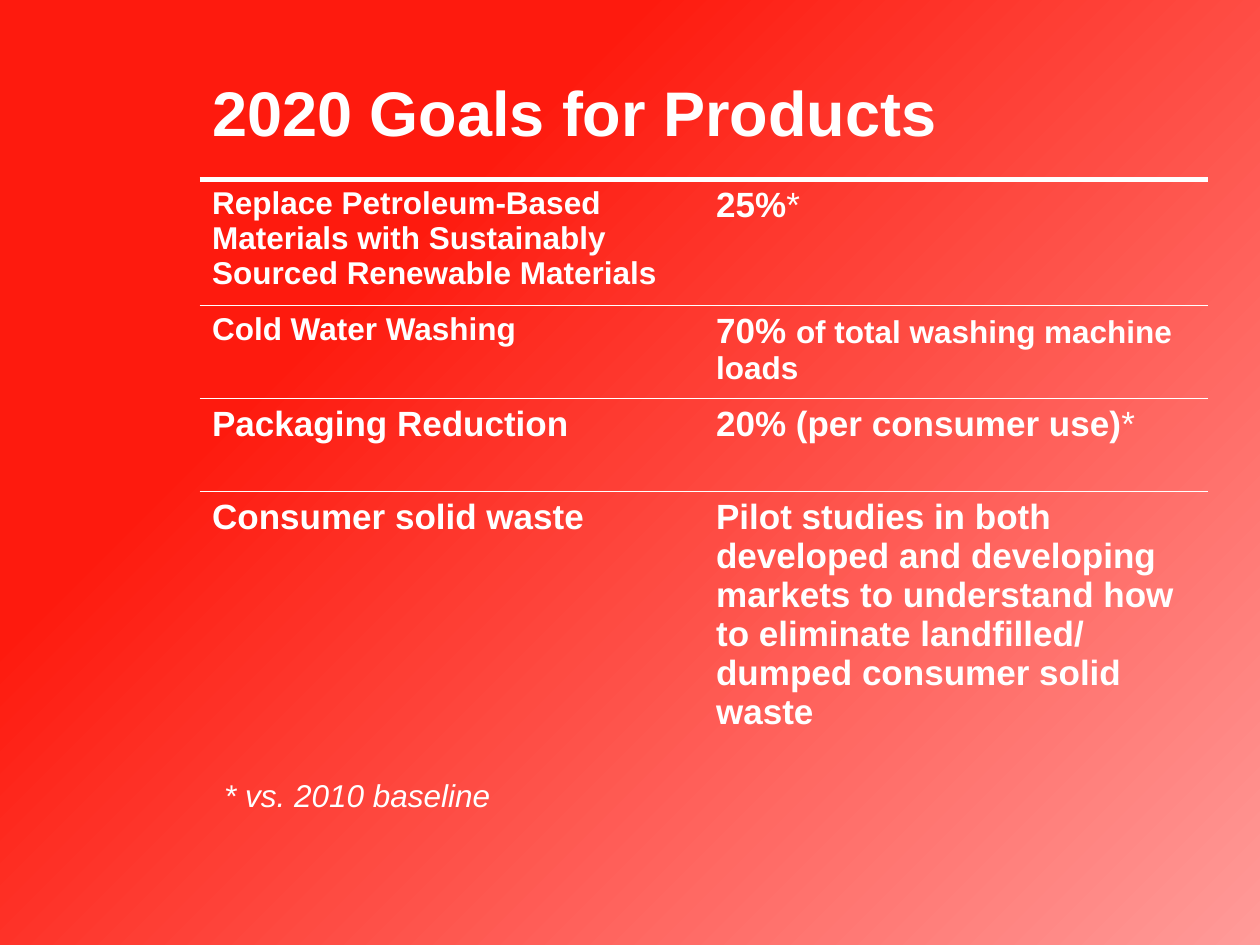
from lxml import etree
from pptx import Presentation
from pptx.dml.color import RGBColor
from pptx.enum import text
from pptx.oxml.ns import qn
from pptx.util import Pt

WHITE, RED, PINK = "FFFFFF", "FE1A0E", "FF9B99"
HEADING = [("2020 Goals for Products", {"size": Pt(36)})]
SMALL, PLAIN = {"size": Pt(18)}, {"bold": False}
GOALS = [
    ([("Replace Petroleum-Based Materials with Sustainably Sourced "
       "Renewable Materials", SMALL)],
     [("25%", {}), ("*", PLAIN)]),
    ([("Cold Water Washing", SMALL)],
     [("70% ", {}), ("of total washing machine loads", SMALL)]),
    ([("Packaging Reduction", {})],
     [("20% (per consumer use)", {}), ("*", PLAIN)]),
    ([("Consumer solid waste", {})],
     [("Pilot studies in both developed and developing markets to understand "
       "how to eliminate landfilled/ dumped consumer solid waste", {})]),
]
ROW_HEIGHTS = [60.5, 72, 53.25, 53.25, 160.5]
RULE_WIDTHS = [0, 3, 1, 1, 1, 0]  # above each row, then below the last


def color(hex_string):
    return RGBColor.from_string(hex_string)


class GoalsSlide:
    base = {"name": "Arial", "size": Pt(20), "bold": True}

    def __init__(self, slide):
        self.slide = slide

    def background(self, start, end, solid_until, angle):
        fill = self.slide.background.fill
        fill.gradient()
        fill.gradient_angle = angle
        for stop, position, shade in zip(fill.gradient_stops,
                                         (solid_until, 1), (start, end)):
            stop.position = position
            stop.color.rgb = color(shade)

    def add_runs(self, frame, runs):
        paragraph = frame.paragraphs[0]
        for words, changes in runs:
            run = paragraph.add_run()
            run.text = words
            for key, value in {**self.base, **changes}.items():
                setattr(run.font, key, value)
            run.font.color.rgb = color(WHITE)

    def rule(self, cell, above, below):
        """Draw horizontal borders of the given point widths, and no others."""
        properties = cell._tc.get_or_add_tcPr()
        sides = {"a:lnL": 0, "a:lnR": 0, "a:lnT": above, "a:lnB": below}
        for place, (tag, width) in enumerate(sides.items()):
            line = etree.Element(qn(tag), w=str(Pt(width)))
            if width:
                fill = etree.SubElement(line, qn("a:solidFill"))
                etree.SubElement(fill, qn("a:srgbClr"), val=WHITE)
            else:
                etree.SubElement(line, qn("a:noFill"))
            properties.insert(place, line)

    def table(self, left, top, width, heading, rows):
        table = self.slide.shapes.add_table(
            len(rows) + 1, 2, Pt(left), Pt(top), Pt(width),
            Pt(sum(ROW_HEIGHTS))).table
        table.first_row = table.horz_banding = False
        table.cell(0, 0).merge(table.cell(0, 1))
        self.add_runs(table.cell(0, 0).text_frame, heading)
        for r, row in enumerate(table.rows):
            row.height = Pt(ROW_HEIGHTS[r])
            for cell in row.cells:
                cell.fill.background()
                self.rule(cell, RULE_WIDTHS[r], RULE_WIDTHS[r + 1])
        for r, goal in enumerate(rows, 1):
            for c, runs in enumerate(goal):
                self.add_runs(table.cell(r, c).text_frame, runs)

    def note(self, left, top, width, height, runs):
        frame = self.slide.shapes.add_textbox(
            Pt(left), Pt(top), Pt(width), Pt(height)).text_frame
        frame.word_wrap = False
        frame.auto_size = text.MSO_AUTO_SIZE.SHAPE_TO_FIT_TEXT
        self.add_runs(frame, runs)


def main():
    deck = Presentation()
    deck.slide_width, deck.slide_height = Pt(720), Pt(540)
    goals = GoalsSlide(deck.slides.add_slide(deck.slide_layouts[6]))
    goals.background(RED, PINK, solid_until=0.29, angle=315)
    goals.table(114, 42, 576, HEADING, GOALS)
    goals.note(121, 440, 173, 29,
               [("* vs. 2010 baseline", {**SMALL, **PLAIN, "italic": True})])
    deck.save("out.pptx")


if __name__ == "__main__":
    main()
